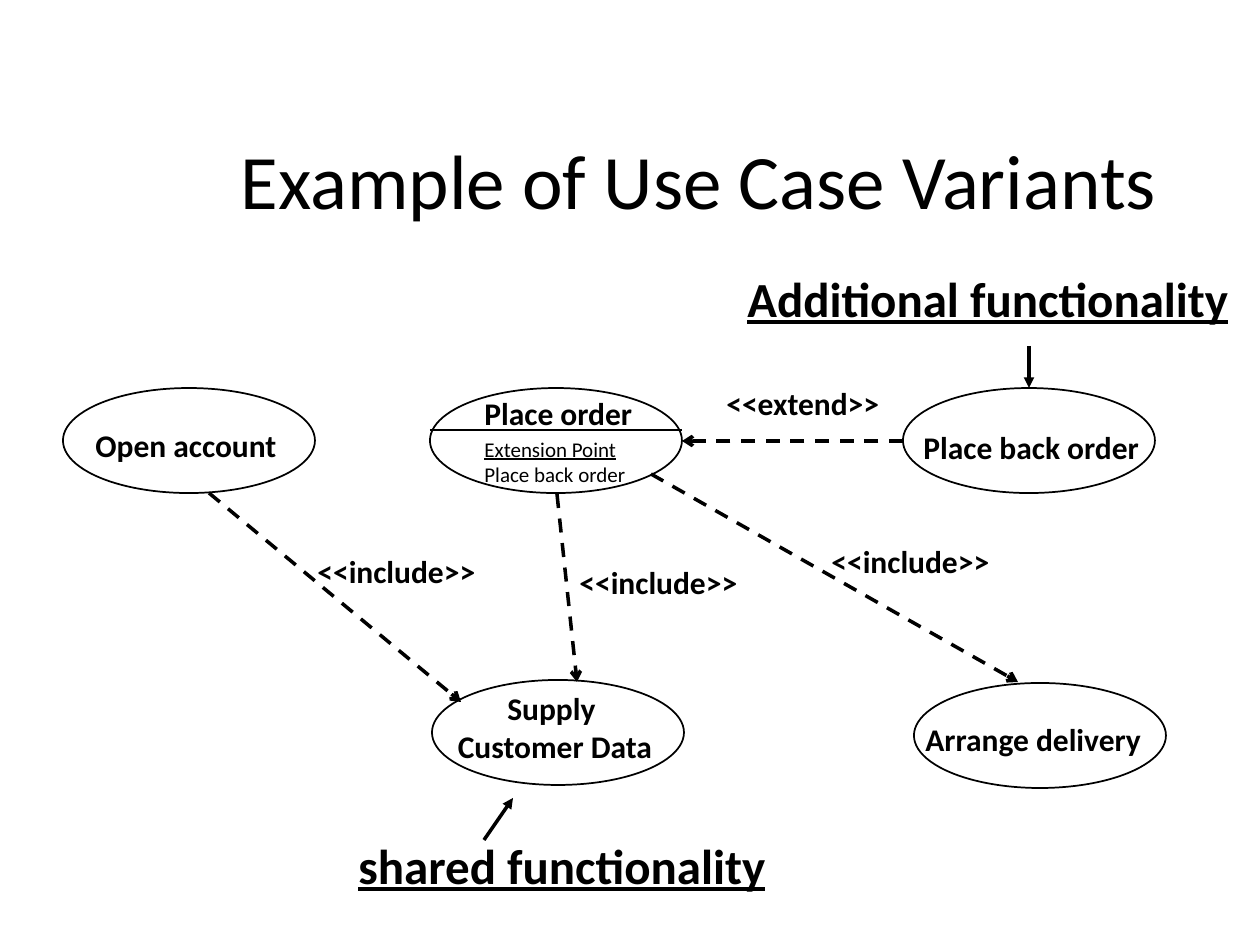
"""Build a use case diagram slide showing include and extend variants."""
from dataclasses import dataclass
from typing import Optional

from lxml.etree import SubElement
from pptx import Presentation
from pptx.dml.color import RGBColor
from pptx.enum.dml import MSO_LINE_DASH_STYLE as Dash
from pptx.enum.shapes import MSO_CONNECTOR as Connector, MSO_SHAPE as Shape
from pptx.enum.text import MSO_ANCHOR as Anchor, MSO_AUTO_SIZE as AutoSize, PP_ALIGN as Align
from pptx.oxml.ns import qn
from pptx.util import Emu, Pt


@dataclass(frozen=True)
class Theme:
    font: str = "Calibri"
    ink: RGBColor = RGBColor(0, 0, 0)
    title: int = 44
    callout: int = 28
    label: int = 18
    detail: int = 12
    thin: int = 1
    thick: int = 2


@dataclass(frozen=True)
class UseCase:
    name: str
    left: int
    top: int


@dataclass(frozen=True)
class Link:
    start: tuple[int, int]
    end: tuple[int, int]
    head: Optional[str] = "arrow"
    dashed: bool = True
    width: int = 2
    target: Optional[str] = None


@dataclass(frozen=True)
class Span:
    text: str
    underline: bool = False


@dataclass(frozen=True)
class Label:
    spans: tuple[Span, ...]
    left: int
    top: int
    width: int
    height: int = 50
    size: int = 18
    bold: bool = True
    wrap: bool = False
    align: Align = Align.LEFT


THEME = Theme()
PX = 914400 / 126
CASE_WIDTH, CASE_HEIGHT = 252, 105
ROW_TOP = 388

CASES = (
    UseCase("Open account", 63, ROW_TOP),
    UseCase("Place order", 430, ROW_TOP),
    UseCase("Place back order", 903, ROW_TOP),
    UseCase("Supply Customer Data", 432, 680),
    UseCase("Arrange delivery", 914, 683),
)

LINKS = (
    Link((903, 441), (682, 441)),
    Link((557, 494), (577, 682)),
    Link((651, 474), (1018, 682)),
    Link((209, 493), (461, 702)),
    Link((484, 840), (513, 798), "triangle", False),
    Link((1029, 346), (1029, ROW_TOP), "triangle", False, target="Place back order"),
    Link((430, 430), (682, 430), None, False, THEME.thin),
)


def include_label(left: int, top: int) -> Label:
    """Return an include stereotype label."""
    return Label((Span("<<include>>"),), left, top, 195)


def callout(text: str, left: int, top: int) -> Label:
    """Return a large underlined remark."""
    return Label((Span(text, True),), left, top, 525, 72, THEME.callout, wrap=True)


LABELS = (
    Label((Span("Place order"),), 472, 388, 180),
    Label((Span("Place back order"),), 911, 422, 252),
    Label((Span("Supply "), Span("Customer Data")), 440, 683, 230, 88, align=Align.CENTER),
    Label((Span("Arrange delivery"),), 913, 714, 254),
    Label((Span("Open account"),), 83, 420, 212),
    Label((Span("<<extend>>"),), 714, 378, 186),
    include_label(567, 557),
    include_label(819, 536),
    include_label(305, 546),
    callout("shared functionality", 346, 829),
    callout("Additional functionality", 735, 262),
    Label((Span("Extension Point", True), Span("Place back order")),
          472, 430, 168, 63, THEME.detail, False, True),
)


def px(value: int) -> Emu:
    """Turn pixels into EMU."""
    return Emu(round(value * PX))


def add_span(para, span: Span, size: int, bold: bool = False) -> None:
    """Append one formatted run to a paragraph."""
    run = para.add_run()
    run.text = span.text
    font = run.font
    font.name, font.size, font.bold = THEME.font, Pt(size), bold
    font.underline = span.underline
    font.color.rgb = THEME.ink


def set_title(page, text: str) -> None:
    """Place and fill the title placeholder."""
    title = page.shapes.title
    title.left, title.top, title.width, title.height = map(px, (179, 73, 1040, 158))
    frame = title.text_frame
    frame.vertical_anchor = Anchor.BOTTOM
    para = frame.paragraphs[0]
    para.alignment = Align.CENTER
    add_span(para, Span(text), THEME.title)


def add_case(page, case: UseCase):
    """Draw the ellipse of a use case."""
    oval = page.shapes.add_shape(
        Shape.OVAL, px(case.left), px(case.top), px(CASE_WIDTH), px(CASE_HEIGHT))
    oval.shadow.inherit = False
    oval.fill.background()
    oval.line.color.rgb = THEME.ink
    oval.line.width = Pt(THEME.thin)
    return oval


def add_link(page, link: Link, ovals: dict) -> None:
    """Draw a straight line with an optional arrowhead."""
    line = page.shapes.add_connector(
        Connector.STRAIGHT, *map(px, link.start + link.end))
    if link.target:
        line.end_connect(ovals[link.target], 0)
    line.line.color.rgb = THEME.ink
    line.line.width = Pt(link.width)
    if link.dashed:
        line.line.dash_style = Dash.DASH
    if link.head:
        SubElement(line.line._get_or_add_ln(), qn("a:tailEnd"), type=link.head)
    SubElement(line._element.spPr, qn("a:effectLst"))


def add_label(page, label: Label) -> None:
    """Draw a text box with one paragraph for each span."""
    box = page.shapes.add_textbox(
        *map(px, (label.left, label.top, label.width, label.height)))
    frame = box.text_frame
    frame.word_wrap = label.wrap
    frame.auto_size = AutoSize.SHAPE_TO_FIT_TEXT
    for index, span in enumerate(label.spans):
        para = frame.add_paragraph() if index else frame.paragraphs[0]
        para.alignment = label.align
        add_span(para, span, label.size, label.bold)


def main() -> None:
    """Build and save the deck."""
    deck = Presentation()
    deck.slide_width, deck.slide_height = px(1260), px(945)
    page = deck.slides.add_slide(deck.slide_layouts[5])
    set_title(page, "Example of Use Case Variants")
    ovals = {case.name: add_case(page, case) for case in CASES}
    for link in LINKS:
        add_link(page, link, ovals)
    for label in LABELS:
        add_label(page, label)
    deck.save("out.pptx")


if __name__ == "__main__":
    main()
